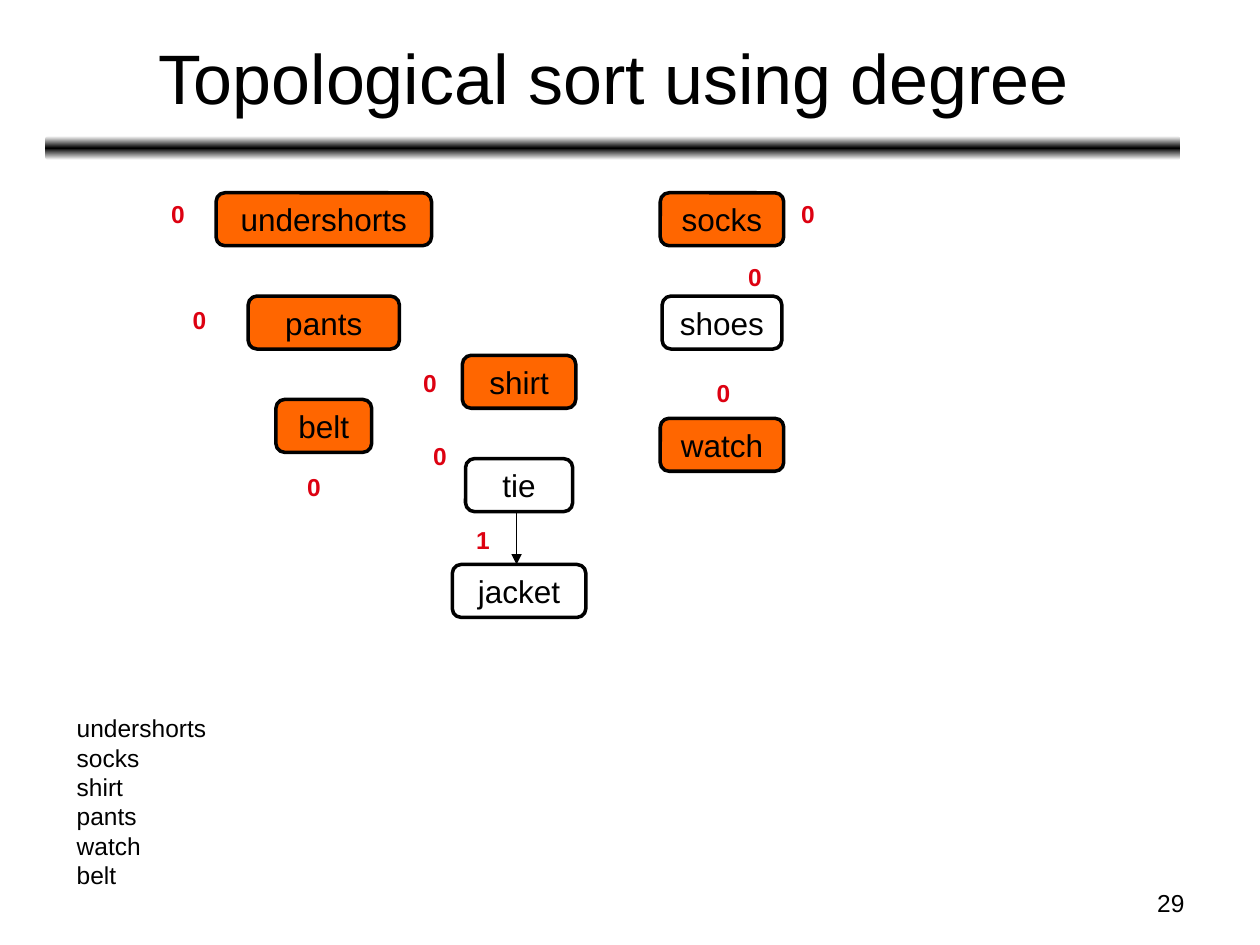
import copy
import pptx
import pptx.dml.color
import pptx.enum.shapes
import pptx.enum.text
import pptx.oxml
import pptx.oxml.ns
import pptx.util

RGB = pptx.dml.color.RGBColor
SHAPE = pptx.enum.shapes.MSO_SHAPE
ALIGN = pptx.enum.text.PP_ALIGN
ANCHOR = pptx.enum.text.MSO_ANCHOR
SIZING = pptx.enum.text.MSO_AUTO_SIZE
qn = pptx.oxml.ns.qn

BLACK = RGB(0x00, 0x00, 0x00)
WHITE = RGB(0xFF, 0xFF, 0xFF)
ORANGE = RGB(0xFF, 0x66, 0x00)
RED = RGB(0xDD, 0x01, 0x11)

COLS, ROWS = 100, 75
NODE_TALL = 4.2
LEFT, MIDDLE, RIGHT = 25.7, 41.2, 57.3
NODES = [
    ("undershorts", LEFT, 15.3, 17.1, True),
    ("pants", LEFT, 23.5, 12, True),
    ("belt", LEFT, 31.7, 7.6, True),
    ("socks", RIGHT, 15.3, 9.8, True),
    ("shoes", RIGHT, 23.5, 9.5, False),
    ("watch", RIGHT, 33.2, 9.8, True),
    ("shirt", MIDDLE, 28.2, 9, True),
    ("tie", MIDDLE, 36.4, 8.5, False),
    ("jacket", MIDDLE, 44.8, 10.6, False),
]
DEGREES = [
    ("0", 12.6, 14.8), ("0", 14.3, 23.2), ("0", 23.4, 36.5),
    ("0", 32.6, 28.2), ("0", 33.4, 34), ("1", 36.8, 40.7),
    ("0", 55.9, 29), ("0", 58.4, 19.8), ("0", 62.6, 14.8),
]
ORDER = ["undershorts", "socks", "shirt", "pants", "watch", "belt"]


def write(frame, text, size=14, color=BLACK, bold=False, align=ALIGN.LEFT,
          anchor=ANCHOR.TOP, inset=(0.1, 0.05), fit=SIZING.NONE):
    frame.word_wrap = True
    frame.auto_size = fit
    frame.vertical_anchor = anchor
    frame.margin_left = frame.margin_right = pptx.util.Inches(inset[0])
    frame.margin_top = frame.margin_bottom = pptx.util.Inches(inset[1])
    frame.text = text
    for para in frame.paragraphs:
        para.alignment = align
        para.font.name = "Arial"
        para.font.size = pptx.util.Pt(size)
        para.font.bold = bold
        para.font.color.rgb = color


class Board:
    def __init__(self, deck):
        self.slide = deck.slides.add_slide(deck.slide_layouts[5])
        self.shapes = self.slide.shapes
        self.col = deck.slide_width / COLS
        self.row = deck.slide_height / ROWS

    def place(self, left, top, wide, tall):
        return (round(left * self.col), round(top * self.row),
                round(wide * self.col), round(tall * self.row))

    def title(self, text, *area):
        head = self.shapes.title
        head.left, head.top, head.width, head.height = self.place(*area)
        write(head.text_frame, text, size=40, align=ALIGN.CENTER, anchor=ANCHOR.MIDDLE)

    def round_box(self, *area):
        box = self.shapes.add_shape(SHAPE.ROUNDED_RECTANGLE, *self.place(*area))
        box.shadow.inherit = False
        return box

    def rule(self, *area):
        bar = self.round_box(*area)
        bar.line.fill.background()
        bar.fill.gradient()
        bar.fill.gradient_angle = 90
        stops = bar.element.spPr.find(qn("a:gradFill")).find(qn("a:gsLst"))
        stops.append(copy.deepcopy(stops[0]))
        for stop, place, color in zip(bar.fill.gradient_stops, (0, 0.5, 1),
                                      (WHITE, BLACK, WHITE)):
            stop.position = place
            stop.color.rgb = color

    def node(self, text, center, top, wide, done):
        box = self.round_box(center - wide / 2, top, wide, NODE_TALL)
        if done:
            box.fill.solid()
            box.fill.fore_color.rgb = ORANGE
        else:
            box.fill.background()
        box.line.color.rgb = BLACK
        box.line.width = pptx.util.Pt(2)
        write(box.text_frame, text, size=18, align=ALIGN.CENTER, anchor=ANCHOR.MIDDLE)

    def arrow(self, center, start, end):
        x, y, _, drop = self.place(center, start, 0, end - start)
        line = self.shapes.add_connector(
            pptx.enum.shapes.MSO_CONNECTOR.STRAIGHT, x, y, x, y + drop)
        line.line.color.rgb = BLACK
        line.line.width = pptx.util.Pt(1)
        tip = pptx.oxml.parse_xml(
            '<a:tailEnd xmlns:a="http://schemas.openxmlformats.org/drawingml/2006/main"'
            ' type="triangle"/>')
        line.line._get_or_add_ln().append(tip)
        props = line._element.spPr
        props.append(props.makeelement(qn("a:effectLst"), {}))

    def label(self, text, *area, **format):
        box = self.shapes.add_textbox(*self.place(*area))
        write(box.text_frame, text, **format)


def main():
    deck = pptx.Presentation()
    deck.slide_width = pptx.util.Inches(10)
    deck.slide_height = pptx.util.Inches(7.5)
    board = Board(deck)
    board.rule(3.6, 10.8, 90.1, 1.9)
    board.title("Topological sort using degree", 3.7, 1.1, 90, 9.9)
    board.label("29", 71.7, 70, 23.3, 3.5, align=ALIGN.RIGHT)
    for node in NODES:
        board.node(*node)
    board.arrow(41, 40.7, 44.8)
    note = {"inset": (0.1, 0.1), "fit": SIZING.SHAPE_TO_FIT_TEXT}
    for count, left, top in DEGREES:
        board.label(count, left, top, 3.4, 4.4, color=RED, bold=True, **note)
    board.label("\n".join(ORDER), 5.1, 55.6, 17.1, 16.2, **note)
    deck.save("out.pptx")


if __name__ == "__main__":
    main()
